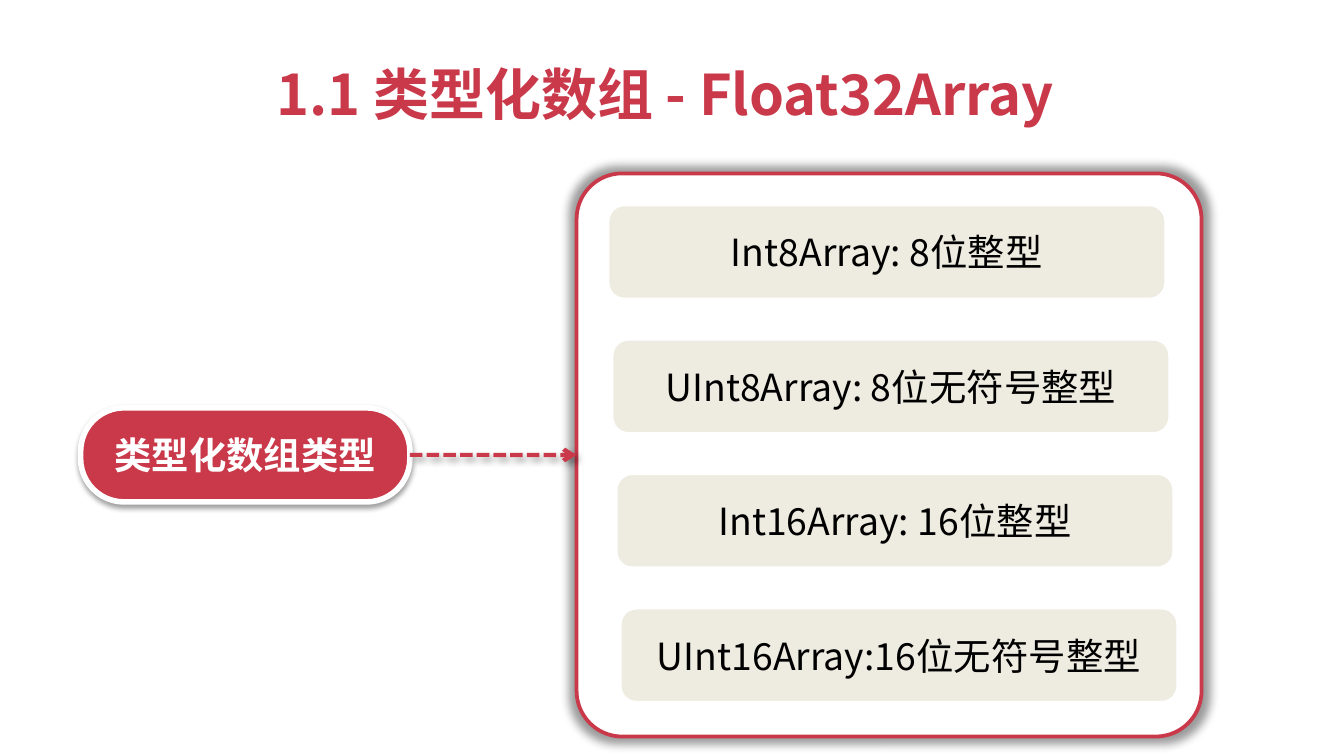
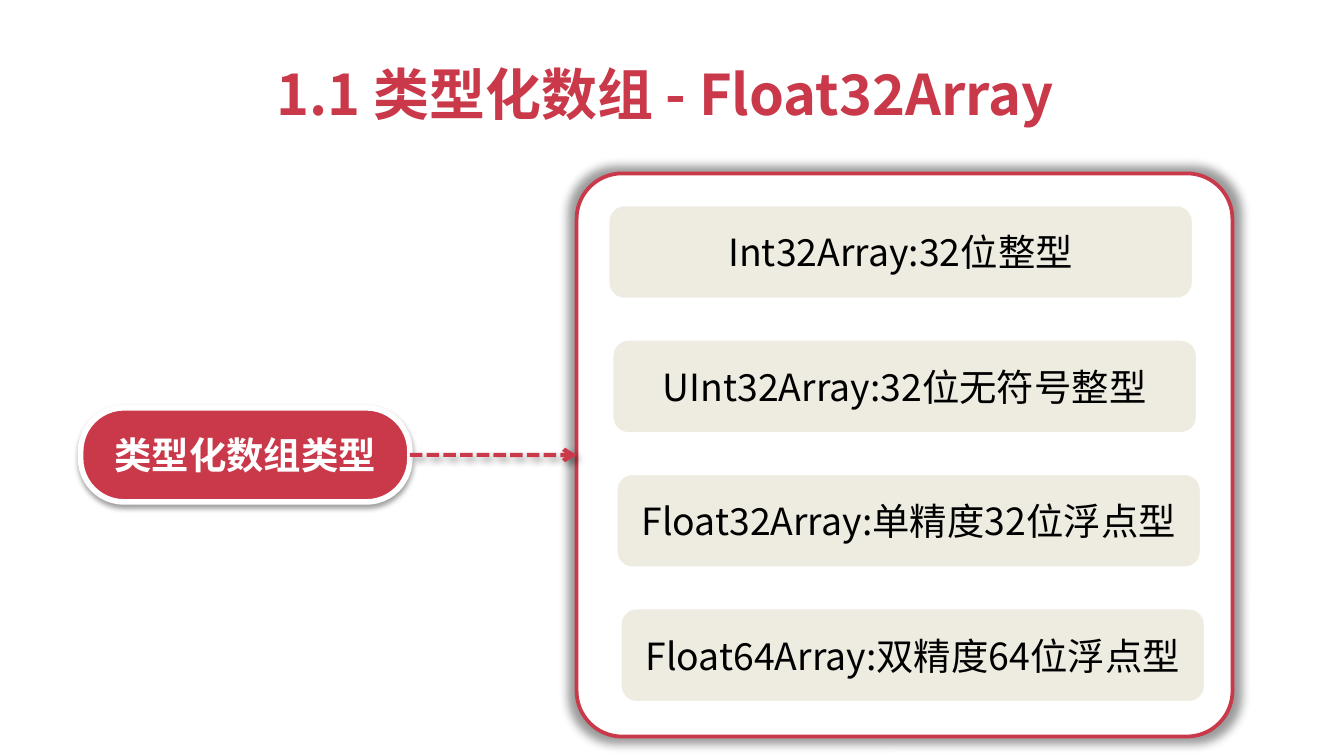
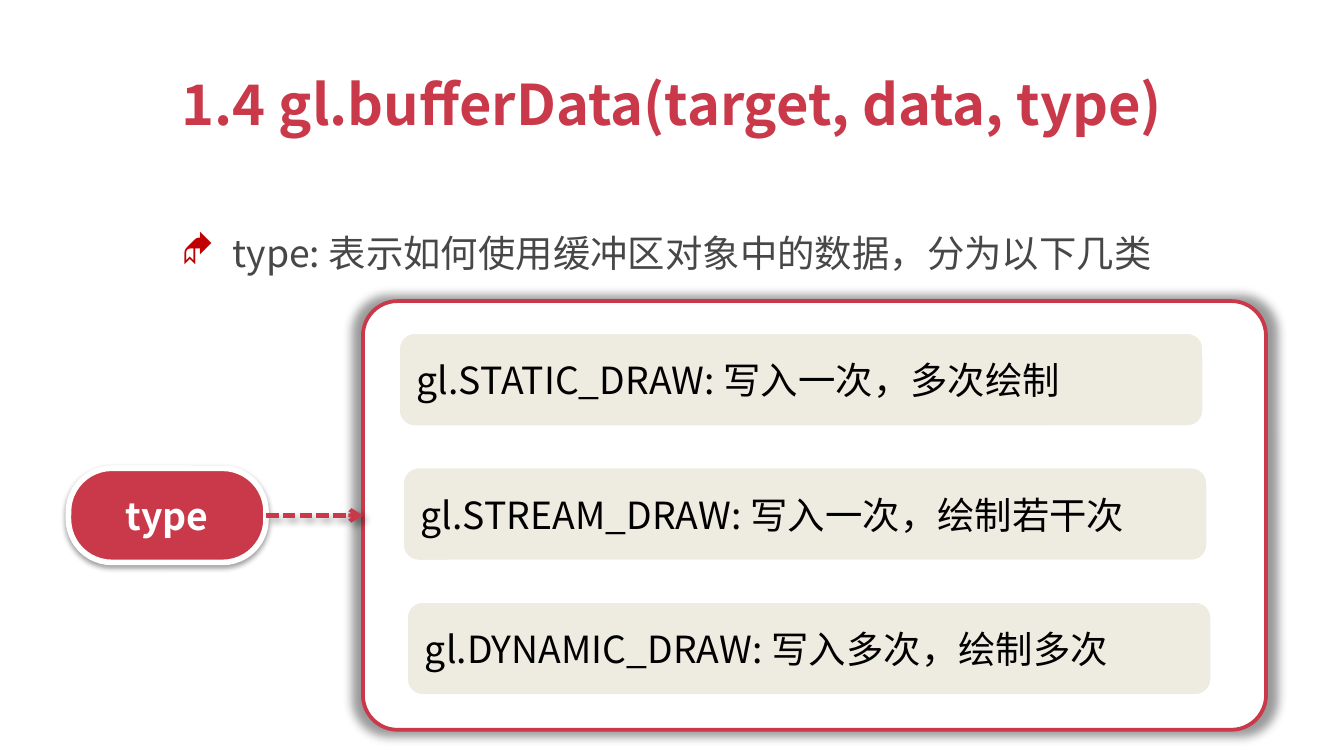
from dataclasses import dataclass

from lxml import etree
from pptx import Presentation
from pptx.dml.color import RGBColor
from pptx.enum.dml import MSO_LINE
from pptx.enum.shapes import MSO_CONNECTOR, MSO_SHAPE
from pptx.enum.text import MSO_ANCHOR, MSO_AUTO_SIZE, PP_ALIGN
from pptx.oxml.ns import qn
from pptx.util import Emu, Inches, Pt

ARRAY_TITLE = "1.1 类型化数组 - Float32Array "
ARRAY_TITLE_BOX = (1.82, 0.39, 6.35, 0.61)
ARRAY_PILL = ("类型化数组类型", 0.6, 2.45)

SLIDES = [
    {
        "title": ARRAY_TITLE, "title_box": ARRAY_TITLE_BOX, "pill": ARRAY_PILL,
        "panel": (4.29, 1.29, 4.65), "indent": 0.24, "align": PP_ALIGN.CENTER,
        "items": ["Int8Array: 8位整型", "UInt8Array: 8位无符号整型",
                  "Int16Array: 16位整型", "UInt16Array:16位无符号整型"],
    },
    {
        "title": ARRAY_TITLE, "title_box": ARRAY_TITLE_BOX, "pill": ARRAY_PILL,
        "panel": (4.29, 1.29, 4.88), "indent": 0.24, "align": PP_ALIGN.CENTER,
        "items": ["Int32Array:32位整型", "UInt32Array:32位无符号整型",
                  "Float32Array:单精度32位浮点型", "Float64Array:双精度64位浮点型"],
    },
    {
        "title": "1.4 gl.bufferData(target, data, type)",
        "title_box": (1.1, 0.47, 7.8, 0.61), "pill": ("type", 0.51, 1.47),
        "lead": "type: 表示如何使⽤缓冲区对象中的数据，分为以下⼏类",
        "panel": (2.7, 2.24, 6.72), "indent": 0.27, "align": PP_ALIGN.LEFT,
        "items": ["gl.STATIC_DRAW: 写⼊⼀次，多次绘制",
                  "gl.STREAM_DRAW: 写⼊⼀次，绘制若干次",
                  "gl.DYNAMIC_DRAW: 写⼊多次，绘制多次"],
    },
]


@dataclass(frozen=True)
class Theme:
    font: str = "Noto Sans CJK SC"
    bullet_font: str = "Wingdings"
    red: str = "C9394A"
    beige: str = "EEECE1"
    white: str = "FFFFFF"
    black: str = "000000"
    grey: str = "474747"
    bullet: str = "C00000"
    title_size: int = 30
    text_size: int = 20
    # Shadows: opacity %, blur pt, distance pt, angle in degrees, scale %
    panel_shadow: tuple = (40, 5, 0, 0, 102)
    pill_shadow: tuple = (38, 3.1, 1.6, 90, 100)
    arrow_shadow: tuple = (40, 4, 3, 45, 100)


THEME = Theme()
LEAD_BOX = (0.75, 1.66, 9, 0.44)
ITEM_HEIGHT, ITEM_PITCH, ITEM_DRIFT, ITEM_SHARE = 0.69, 1.0, 0.03, 0.89
PADDING_TOP, PADDING_BOTTOM = 0.24, 0.26
PILL_HEIGHT = 0.7


def color(code):
    return RGBColor.from_string(code)


def add_node(parent, tag, **attributes):
    node = etree.SubElement(parent, qn(tag))
    for key, value in attributes.items():
        node.set(key, str(value))
    return node


def set_shadow(shape, shadow=None):
    """Replace the inherited shadow; call after fill and line are set."""
    effects = add_node(shape._element.spPr, "a:effectLst")
    if shadow:
        opacity, blur, distance, angle, scale = shadow
        outer = add_node(effects, "a:outerShdw", blurRad=Pt(blur), dist=Pt(distance),
                         dir=angle * 60000, sx=scale * 1000, sy=scale * 1000,
                         algn="ctr", rotWithShape=0)
        black = add_node(outer, "a:srgbClr", val=THEME.black)
        add_node(black, "a:alpha", val=opacity * 1000)


def write(shape, text, size, text_color, bold=False, align=PP_ALIGN.CENTER,
          anchor=MSO_ANCHOR.MIDDLE):
    frame = shape.text_frame
    frame.text = text
    frame.vertical_anchor = anchor
    paragraph = frame.paragraphs[0]
    paragraph.alignment = align
    font = paragraph.runs[0].font
    font.name, font.size, font.bold = THEME.font, Pt(size), bold
    font.color.rgb = color(text_color)
    add_node(font._element, "a:ea", typeface=THEME.font)
    return paragraph


def place(shape, box):
    shape.left, shape.top, shape.width, shape.height = map(Inches, box)


def add_rounded(slide, box, fill, line, line_width, corner=None, shadow=None):
    shape = slide.shapes.add_shape(MSO_SHAPE.ROUNDED_RECTANGLE, *map(Inches, box))
    if corner:
        shape.adjustments[0] = corner
    shape.fill.solid()
    shape.fill.fore_color.rgb = color(fill)
    shape.line.color.rgb = color(line)
    shape.line.width = Pt(line_width)
    set_shadow(shape, shadow)
    return shape


def add_title(slide, text, box):
    title = slide.shapes.title
    place(title, box)
    write(title, text, THEME.title_size, THEME.red, bold=True, anchor=MSO_ANCHOR.TOP)
    title.text_frame.word_wrap = False
    title.text_frame.auto_size = MSO_AUTO_SIZE.SHAPE_TO_FIT_TEXT


def add_lead(slide, text):
    lead = slide.placeholders[1]
    place(lead, LEAD_BOX)
    paragraph = write(lead, text, THEME.text_size, THEME.grey, align=PP_ALIGN.LEFT)
    lead.text_frame.auto_size = MSO_AUTO_SIZE.SHAPE_TO_FIT_TEXT
    paragraph.level = 1
    paragraph.space_before = Pt(0)
    properties = paragraph._p.get_or_add_pPr()
    properties.set("marL", str(Inches(0.88)))
    properties.set("indent", str(Inches(-0.38)))
    add_node(add_node(properties, "a:buClr"), "a:srgbClr", val=THEME.bullet)
    add_node(properties, "a:buFont", typeface=THEME.bullet_font)
    add_node(properties, "a:buChar", char="◆")


def add_panel(slide, content):
    left, top, width = content["panel"]
    items = content["items"]
    height = PADDING_TOP + (len(items) - 1) * ITEM_PITCH + ITEM_HEIGHT + PADDING_BOTTOM
    panel = add_rounded(slide, (left, top, width, height), THEME.white, THEME.red, 2,
                        corner=0.081, shadow=THEME.panel_shadow)
    for row, text in enumerate(items):
        box = (left + content["indent"] + row * ITEM_DRIFT,
               top + PADDING_TOP + row * ITEM_PITCH, width * ITEM_SHARE, ITEM_HEIGHT)
        item = add_rounded(slide, box, THEME.beige, THEME.white, 0.75)
        write(item, text, THEME.text_size, THEME.black, align=content["align"])
    return panel


def add_pill(slide, panel, text, left, width):
    middle = Emu(panel.top + panel.height // 2).inches
    pill = add_rounded(slide, (left, middle - PILL_HEIGHT / 2, width, PILL_HEIGHT),
                       THEME.red, THEME.white, 3, corner=0.461,
                       shadow=THEME.pill_shadow)
    write(pill, text, THEME.text_size, THEME.white, bold=True)
    return pill


def add_arrow(slide, pill, panel):
    arrow = slide.shapes.add_connector(MSO_CONNECTOR.CURVE, 0, 0, 0, 0)
    arrow.begin_connect(pill, 3)
    arrow.end_connect(panel, 1)
    arrow.line.color.rgb = color(THEME.red)
    arrow.line.width = Pt(2.25)
    arrow.line.dash_style = MSO_LINE.SQUARE_DOT
    add_node(arrow.line._get_or_add_ln(), "a:tailEnd", type="arrow")
    set_shadow(arrow, THEME.arrow_shadow)


def add_content_slide(deck, content):
    layout_name = "Title and Content" if "lead" in content else "Title Only"
    slide = deck.slides.add_slide(deck.slide_layouts.get_by_name(layout_name))
    add_title(slide, content["title"], content["title_box"])
    if "lead" in content:
        add_lead(slide, content["lead"])
    panel = add_panel(slide, content)
    pill = add_pill(slide, panel, *content["pill"])
    add_arrow(slide, pill, panel)


def main():
    deck = Presentation()
    deck.slide_width = Inches(10)
    deck.slide_height = deck.slide_width * 9 // 16
    for content in SLIDES:
        add_content_slide(deck, content)
    deck.save("out.pptx")


if __name__ == "__main__":
    main()
